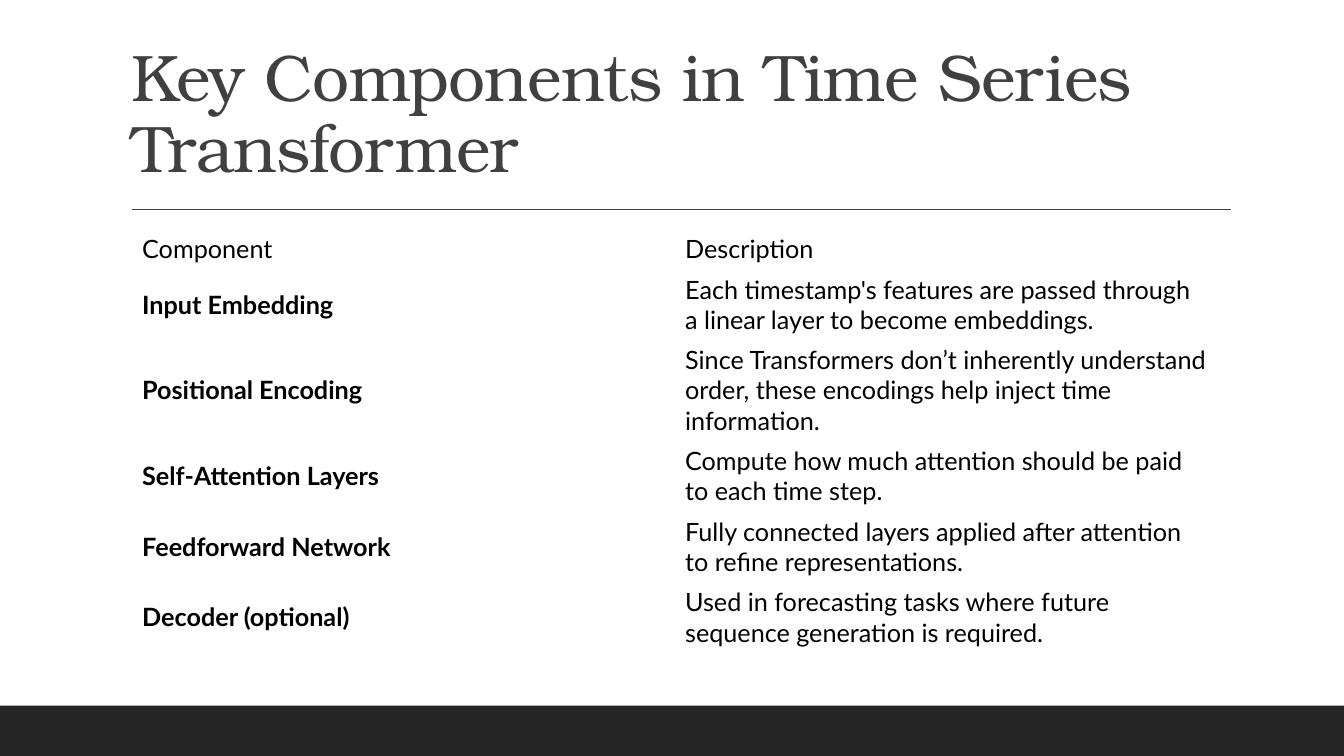
from pptx import Presentation
from pptx.dml.color import RGBColor
from pptx.enum.shapes import MSO_CONNECTOR, MSO_SHAPE
from pptx.enum.text import MSO_ANCHOR, MSO_AUTO_SIZE, PP_ALIGN
from pptx.oxml.ns import qn
from pptx.util import Inches, Pt
from lxml import etree

RECT = MSO_SHAPE.RECTANGLE
STRAIGHT = MSO_CONNECTOR.STRAIGHT
MIDDLE, BOTTOM = MSO_ANCHOR.MIDDLE, MSO_ANCHOR.BOTTOM
LEFT = PP_ALIGN.LEFT
NO_AUTOFIT = MSO_AUTO_SIZE.NONE

BLACK = RGBColor(0x00, 0x00, 0x00)
CHARCOAL = RGBColor(0x26, 0x26, 0x26)
GRAY = RGBColor(0x40, 0x40, 0x40)

TITLE_ONLY = 5

# Each row: component, description, number of text lines it takes
COMPONENTS = [
    ("Component", "Description", 1),
    ("Input Embedding",
     "Each timestamp's features are passed through a linear layer to become embeddings.", 2),
    ("Positional Encoding",
     "Since Transformers don’t inherently understand order, "
     "these encodings help inject time information.", 3),
    ("Self-Attention Layers",
     "Compute how much attention should be paid to each time step.", 2),
    ("Feedforward Network",
     "Fully connected layers applied after attention to refine representations.", 2),
    ("Decoder (optional)",
     "Used in forecasting tasks where future sequence generation is required.", 2),
]


class Deck:
    """Style and current slide; all lengths are percentages of the slide's size."""
    title_font, title_size = "TeX Gyre Bonum", Pt(47)
    body_font, body_size = "Lato", Pt(18)
    row_padding, line_height = 1.33, 4

    def __init__(self, prs):
        self.prs = prs
        self.s = prs.slides.add_slide(prs.slide_layouts[TITLE_ONLY])

    def x(self, share):
        return round(self.prs.slide_width * share / 100)

    def y(self, share):
        return round(self.prs.slide_height * share / 100)

    def box(self, left, top, width, height):
        return self.x(left), self.y(top), self.x(width), self.y(height)

    def style_run(self, r, font, size, color, bold=False):
        r.font.name, r.font.size, r.font.bold = font, size, bold
        r.font.color.rgb = color

    def title(self, text, *box):
        sp = self.s.shapes.title
        sp.left, sp.top, sp.width, sp.height = self.box(*box)
        tf = sp.text_frame
        tf.text = text
        tf.word_wrap, tf.auto_size = True, NO_AUTOFIT
        tf.vertical_anchor = BOTTOM
        p = tf.paragraphs[0]
        p.alignment, p.line_spacing = LEFT, 0.9
        r = p.runs[0]
        self.style_run(r, self.title_font, self.title_size, GRAY)
        r.font._element.set("spc", "-50")

    def band(self, color, *box):
        sp = self.s.shapes.add_shape(RECT, *self.box(*box))
        sp.shadow.inherit = False
        sp.fill.solid()
        sp.fill.fore_color.rgb = color
        sp.line.fill.background()

    def rule(self, left, right, top):
        line = self.s.shapes.add_connector(
            STRAIGHT, self.x(left), self.y(top), self.x(right), self.y(top))
        line.line.color.rgb = GRAY
        line.line.width = Pt(1)
        etree.SubElement(line._element.spPr, qn("a:effectLst"))

    def table(self, rows, left, top, width):
        heights = [self.row_padding + self.line_height * lines for *_, lines in rows]
        table = self.s.shapes.add_table(
            len(rows), 2, *self.box(left, top, width, sum(heights))).table
        table.first_row = table.horz_banding = False
        for i, (component, description, _) in enumerate(rows):
            table.rows[i].height = self.y(heights[i])
            for j, text in enumerate((component, description)):
                self.cell(table.cell(i, j), text, bold=i > 0 and j == 0)

    def cell(self, cell, text, bold):
        cell.fill.background()
        cell.vertical_anchor = MIDDLE
        cell.text_frame.text = text
        r = cell.text_frame.paragraphs[0].runs[0]
        self.style_run(r, self.body_font, self.body_size, BLACK, bold)


def main():
    prs = Presentation()
    prs.slide_width, prs.slide_height = Inches(13.33), Inches(7.5)
    deck = Deck(prs)
    deck.band(CHARCOAL, 0, 93.33, 100, 6.67)
    deck.rule(9.83, 91.6, 27.73)
    deck.title("Key Components in Time Series Transformer", 9, 4.13, 82.5, 21.2)
    deck.table(COMPONENTS, 9.83, 30.27, 80.8)
    prs.save("out.pptx")


if __name__ == "__main__":
    main()
